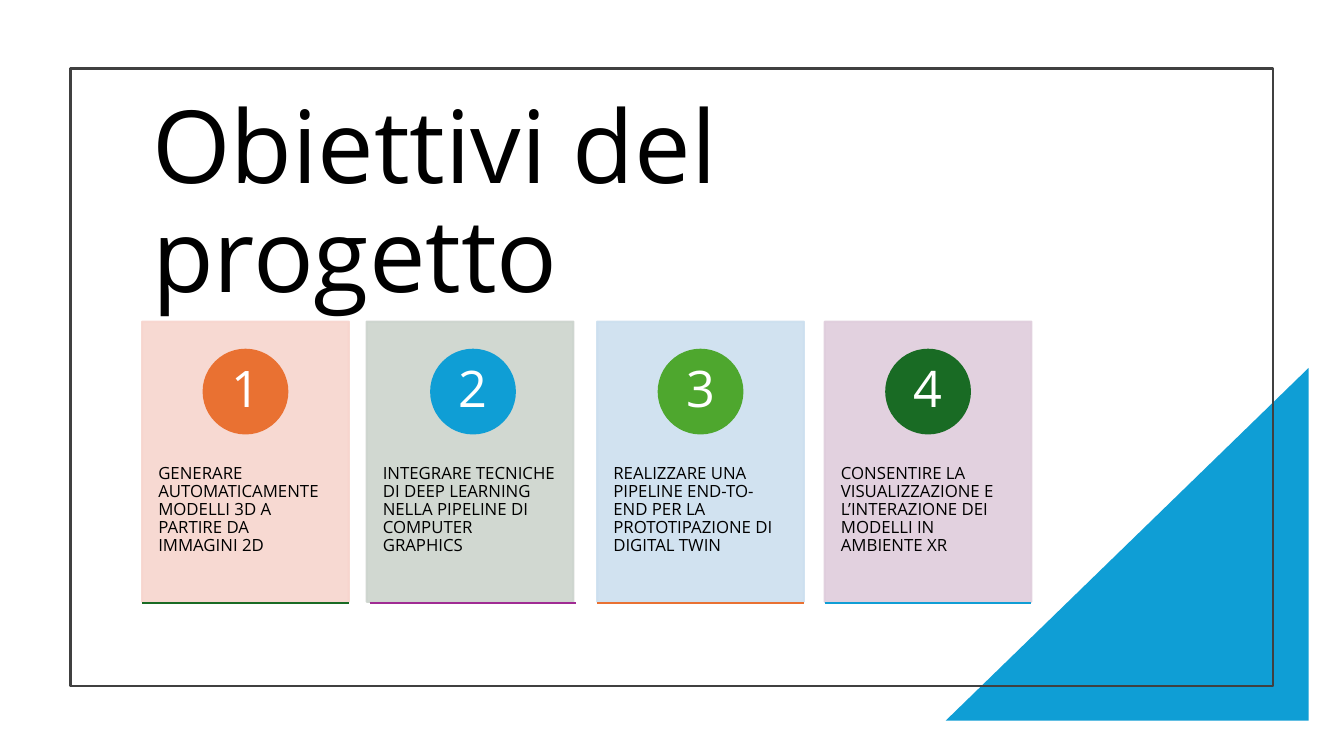
from pptx import Presentation
from pptx import util as u
from pptx.dml.color import RGBColor
from pptx.enum import shapes, text
from pptx.oxml.ns import qn
from lxml import etree

COLORS = {
    "black": "000000", "white": "FFFFFF", "frame": "404040",
    "orange": "E97132", "blue": "0F9ED5", "green": "4EA72E",
    "forest": "196B24", "purple": "A02B93",
    "rose": "F7D5CE", "sage": "CCD4CD", "sky": "CCDFEF", "mauve": "DFCDDC",
}
GOALS = [
    ("GENERARE AUTOMATICAMENTE MODELLI 3D A PARTIRE DA IMMAGINI 2D",
     "rose", "orange", "forest", 0),
    ("INTEGRARE TECNICHE DI DEEP LEARNING NELLA PIPELINE DI COMPUTER GRAPHICS",
     "sage", "blue", "purple", -0.03),
    ("REALIZZARE UNA PIPELINE END-TO-END PER LA PROTOTIPAZIONE DI DIGITAL TWIN",
     "sky", "green", "orange", 0),
    ("CONSENTIRE LA VISUALIZZAZIONE E L’INTERAZIONE DEI MODELLI IN AMBIENTE XR",
     "mauve", "forest", "blue", 0),
]
FIRST_LEFT, LAST_LEFT = 1.41, 8.18
CARD_WIDTH = 2.05


class SlideBuilder:
    font = "Open Sans"
    line_width = u.Pt(1.5)

    def __init__(self, slide):
        self.slide = slide

    def color(self, name):
        return RGBColor.from_string(COLORS[name])

    def box(self, left, top, width, height):
        return [u.Inches(value) for value in (left, top, width, height)]

    def set_text(self, frame, content, size, color, align, anchor, insets):
        frame.word_wrap = True
        frame.auto_size = text.MSO_AUTO_SIZE.NONE
        frame.vertical_anchor = anchor
        frame.margin_left = frame.margin_right = u.Inches(insets[0])
        frame.margin_top = frame.margin_bottom = u.Inches(insets[1])
        frame.text = content
        paragraph = frame.paragraphs[0]
        paragraph.alignment = align
        paragraph.line_spacing = 0.9
        paragraph.font.name = self.font
        paragraph.font.size = u.Pt(size)
        paragraph.font.color.rgb = self.color(color)

    def title(self, content, *place):
        heading = self.slide.shapes.title
        heading.left, heading.top, heading.width, heading.height = self.box(*place)
        self.set_text(heading.text_frame, content, 72, "black",
                      text.PP_ALIGN.LEFT, text.MSO_ANCHOR.MIDDLE, (0.1, 0.05))

    def label(self, content, place, size, color, align, anchor, insets):
        caption = self.slide.shapes.add_textbox(*self.box(*place))
        self.set_text(caption.text_frame, content, size, color, align, anchor, insets)

    def shape(self, kind, place, fill=None, line=None, opacity=100):
        figure = self.slide.shapes.add_shape(kind, *self.box(*place))
        figure.shadow.inherit = False
        if fill:
            figure.fill.solid()
            figure.fill.fore_color.rgb = self.color(fill)
        else:
            figure.fill.background()
        if line:
            figure.line.color.rgb = self.color(line)
            figure.line.width = self.line_width
        else:
            figure.line.fill.background()
        if opacity < 100:
            for tint in figure._element.spPr.iter(qn("a:srgbClr")):
                etree.SubElement(tint, qn("a:alpha"), val=str(opacity * 1000))
        return figure

    def rule(self, left, top, width, color):
        ends = self.box(left, top, left + width, top)
        stroke = self.slide.shapes.add_connector(shapes.MSO_CONNECTOR.STRAIGHT, *ends)
        stroke.line.color.rgb = self.color(color)
        stroke.line.width = self.line_width
        etree.SubElement(stroke._element.spPr, qn("a:effectLst"))

    def card(self, number, left, goal, tint, badge, accent, nudge):
        panel_left = left + nudge
        self.shape(shapes.MSO_SHAPE.RECTANGLE, (panel_left, 3.19, CARD_WIDTH, 2.78),
                   tint, tint, 90)
        self.label(goal, (panel_left, 4.25, CARD_WIDTH, 1.67), 12, "black",
                   text.PP_ALIGN.LEFT, text.MSO_ANCHOR.TOP, (0.16, 0.36))
        self.shape(shapes.MSO_SHAPE.OVAL, (left + 0.61, 3.47, 0.83, 0.83), badge, badge)
        self.label(str(number), (left + 0.73, 3.59, 0.59, 0.59), 36, "white",
                   text.PP_ALIGN.CENTER, text.MSO_ANCHOR.MIDDLE, (0.07, 0.01))
        self.rule(left, 5.98, CARD_WIDTH, accent)


def main():
    deck = Presentation()
    deck.slide_width, deck.slide_height = u.Inches(13.33), u.Inches(7.5)
    builder = SlideBuilder(deck.slides.add_slide(deck.slide_layouts[5]))

    corner = builder.shape(shapes.MSO_SHAPE.RIGHT_TRIANGLE, (9.38, 3.65, 3.6, 3.5), "blue")
    corner._element.spPr.xfrm.set("flipH", "1")
    builder.shape(shapes.MSO_SHAPE.RECTANGLE, (0.7, 0.68, 11.93, 6.13), line="frame")
    builder.title("Obiettivi del progetto", 1.41, 1.15, 8.83, 1.77)

    pitch = (LAST_LEFT - FIRST_LEFT) / (len(GOALS) - 1)
    for index, goal in enumerate(GOALS):
        builder.card(index + 1, FIRST_LEFT + index * pitch, *goal)

    deck.save("out.pptx")


if __name__ == "__main__":
    main()
